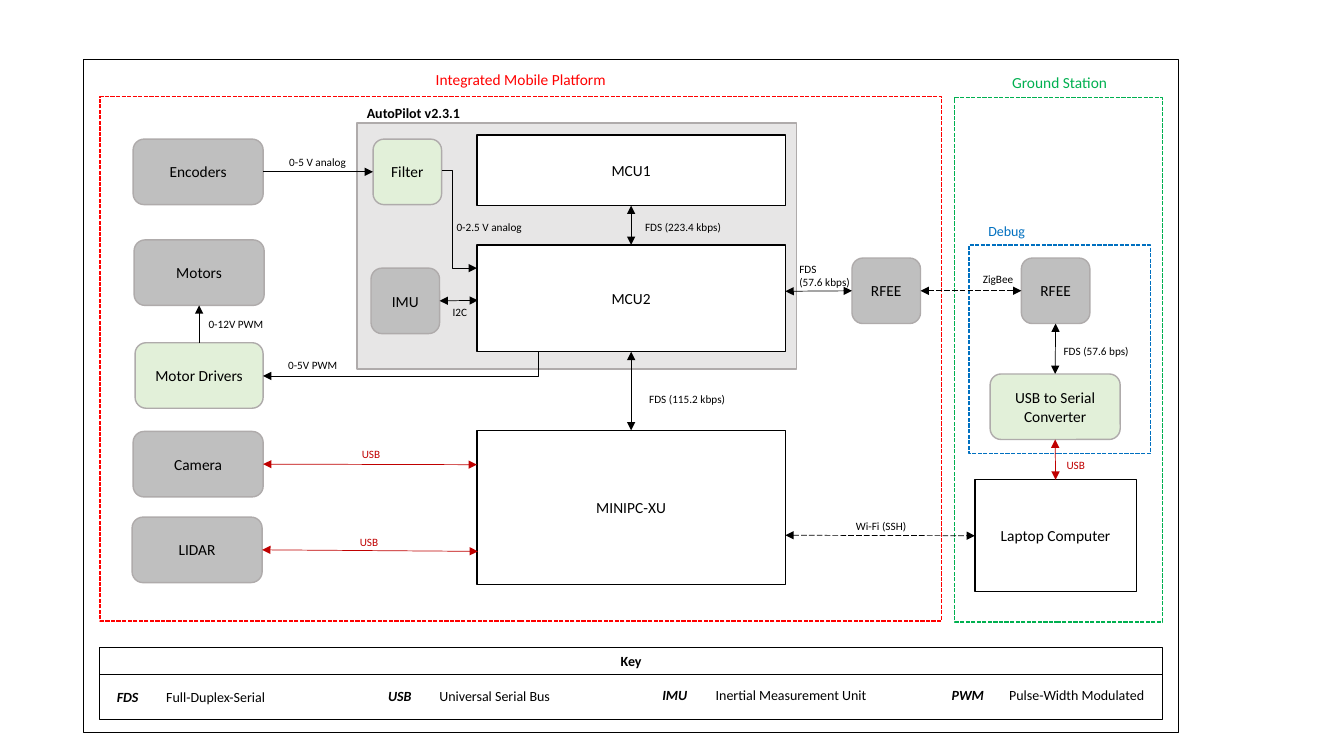
from pptx import Presentation
from pptx.dml.color import RGBColor
from pptx.enum.dml import MSO_LINE
from pptx.enum.shapes import MSO_CONNECTOR, MSO_SHAPE
from pptx.enum.text import MSO_ANCHOR, PP_ALIGN
from pptx.oxml.ns import qn
from pptx.util import Inches, Pt
from lxml import etree

RECT, ROUNDED = MSO_SHAPE.RECTANGLE, MSO_SHAPE.ROUNDED_RECTANGLE
STRAIGHT, ELBOW = MSO_CONNECTOR.STRAIGHT, MSO_CONNECTOR.ELBOW
SHORT_DASH, LONG_DASH = MSO_LINE.SQUARE_DOT, MSO_LINE.LONG_DASH
LEFT, CENTER = PP_ALIGN.LEFT, PP_ALIGN.CENTER
TOP, MIDDLE = MSO_ANCHOR.TOP, MSO_ANCHOR.MIDDLE
TOP_SIDE, LEFT_SIDE, BOTTOM_SIDE, RIGHT_SIDE = range(4)

BLACK = RGBColor(0x00, 0x00, 0x00)
WHITE = RGBColor(0xFF, 0xFF, 0xFF)
RED = RGBColor(0xFF, 0x00, 0x00)
DARK_RED = RGBColor(0xC0, 0x00, 0x00)
GREEN = RGBColor(0x00, 0xB0, 0x50)
BLUE = RGBColor(0x00, 0x70, 0xC0)
GREY = RGBColor(0xBF, 0xBF, 0xBF)
PALE_GREY = RGBColor(0xE7, 0xE6, 0xE6)
EDGE_GREY = RGBColor(0xAF, 0xAB, 0xAB)
PALE_GREEN = RGBColor(0xE2, 0xF0, 0xD9)
FONT = "Calibri"

deck = Presentation()
deck.slide_width, deck.slide_height = Inches(13.33), Inches(7.5)
slide = deck.slides.add_slide(deck.slide_layouts[6])


def add_block(text, at, *, preset=None, fill=None, line=BLACK, width=1, dash=None,
              size=11, color=BLACK, bold=False, italic=False, align=CENTER):
    """Add a preset shape holding text, or a plain text box when preset is None."""
    place = [Inches(value) for value in at]
    if preset is None:
        block = slide.shapes.add_textbox(*place)
    else:
        block = slide.shapes.add_shape(preset, *place)
        block.shadow.inherit = False
        block.line.color.rgb = line
        block.line.width = Pt(width)
        if dash:
            block.line.dash_style = dash
        if fill is None:
            block.fill.background()
        else:
            block.fill.solid()
            block.fill.fore_color.rgb = fill
    frame = block.text_frame
    frame.word_wrap = True
    frame.vertical_anchor = MIDDLE if preset else TOP
    frame.text = text
    for paragraph in frame.paragraphs:
        paragraph.alignment = align
        for run in paragraph.runs:
            run.font.name, run.font.size = FONT, Pt(size)
            run.font.bold, run.font.italic = bold, italic
            run.font.color.rgb = color
    return block


def add_link(start, end, *, color=BLACK, dash=None, heads=("headEnd", "tailEnd"), bend=None):
    """Link two ends, each an (x, y) point in inches or a (block, side) pair.

    bend is the share of the width at which an elbow turns.
    """
    joined = [not isinstance(anchor, (int, float)) for anchor, _ in (start, end)]
    (x1, y1), (x2, y2) = [(0, 0) if is_joined else spot
                          for is_joined, spot in zip(joined, (start, end))]
    link = slide.shapes.add_connector(STRAIGHT if bend is None else ELBOW,
                                      Inches(x1), Inches(y1), Inches(x2), Inches(y2))
    if joined[0]:
        link.begin_connect(*start)
    if joined[1]:
        link.end_connect(*end)
    link.line.color.rgb = color
    link.line.width = Pt(0.5)
    if dash:
        link.line.dash_style = dash
    properties = link.element.spPr
    for head in heads:
        etree.SubElement(properties.find(qn("a:ln")), qn(f"a:{head}"), type="triangle")
    etree.SubElement(properties, qn("a:effectLst"))
    if bend is not None:
        guides = properties.find(qn("a:prstGeom")).get_or_add_avLst()
        etree.SubElement(guides, qn("a:gd"), name="adj1", fmla=f"val {round(bend * 100000)}")


# Frame and key
add_block("", (0.83, 0.59, 10.86, 6.68), preset=RECT)
add_block("Key", (0.99, 6.42, 10.54, 0.27), preset=RECT, width=0.75, size=10, bold=True)
add_block("", (0.99, 6.69, 10.54, 0.45), preset=RECT)
for short, meaning, left, top, tab in (
    ("FDS", "Full-Duplex-Serial", 1.06, 6.78, 0.49),
    ("USB", "Universal Serial Bus", 3.75, 6.77, 0.51),
    ("IMU", "Inertial Measurement Unit", 6.47, 6.76, 0.53),
    ("PWM", "Pulse-Width Modulated", 9.34, 6.76, 0.57),
):
    entry = add_block(f"{short}\t", (left, top, 2.32, 0.27),
                      size=10, bold=True, italic=True, align=LEFT)
    paragraph = entry.text_frame.paragraphs[0]
    tabs = etree.SubElement(paragraph._p.get_or_add_pPr(), qn("a:tabLst"))
    etree.SubElement(tabs, qn("a:tab"), pos=str(Inches(tab)), algn="l")
    run = paragraph.add_run()
    run.text = meaning
    run.font.name, run.font.size, run.font.color.rgb = FONT, Pt(10), BLACK

# Zones and their headings
add_block("", (3.54, 1.22, 4.36, 2.44), preset=RECT, fill=PALE_GREY, line=EDGE_GREY)
for zone, color in (
    ((0.99, 0.96, 8.35, 5.2), RED),
    ((9.47, 0.97, 2.06, 5.2), GREEN),
    ((9.61, 2.43, 1.8, 2.07), BLUE),
):
    add_block("", zone, preset=RECT, line=color, dash=SHORT_DASH)
add_block("Integrated Mobile Platform", (0.99, 0.65, 8.35, 0.29), color=RED)
add_block("Ground Station", (9.42, 0.68, 2.18, 0.29), color=GREEN)
add_block("Debug", (9.35, 2.16, 1.27, 0.27), size=10, color=BLUE)
add_block("AutoPilot v2.3.1", (3.54, 0.99, 2.06, 0.27), size=10, bold=True, align=LEFT)

# Computers
coprocessor, controller, computer, laptop = [
    add_block(text, at, preset=RECT, fill=WHITE) for text, at in (
        ("MCU1", (4.73, 1.34, 3.06, 0.7)),
        ("MCU2", (4.73, 2.43, 3.06, 1.06)),
        ("MINIPC-XU", (4.73, 4.27, 3.06, 1.53)),
        ("Laptop Computer", (9.67, 4.76, 1.6, 1.11)),
    )
]

# Devices and converters
(encoders, motors, drivers, camera, lidar, signal_filter, imu,
 mobile_radio, ground_radio, converter) = [
    add_block(text, (left, top, width, 0.65), preset=ROUNDED, fill=fill, line=EDGE_GREY)
    for text, left, top, width, fill in (
        ("Encoders", 1.32, 1.38, 1.29, GREY),
        ("Motors", 1.33, 2.38, 1.29, GREY),
        ("Motor Drivers", 1.34, 3.4, 1.27, PALE_GREEN),
        ("Camera", 1.32, 4.28, 1.29, GREY),
        ("LIDAR", 1.31, 5.13, 1.29, GREY),
        ("Filter", 3.7, 1.38, 0.68, PALE_GREEN),
        ("IMU", 3.68, 2.66, 0.68, GREY),
        ("RFEE", 8.45, 2.56, 0.68, GREY),
        ("RFEE", 10.13, 2.56, 0.68, GREY),
        ("USB to Serial Converter", 9.82, 3.71, 1.29, PALE_GREEN),
    )
]

# Two-way links
for start, end, color, dash in (
    ((camera, RIGHT_SIDE), (4.73, 4.61), DARK_RED, None),
    ((lidar, RIGHT_SIDE), (4.74, 5.47), DARK_RED, None),
    ((converter, BOTTOM_SIDE), (laptop, TOP_SIDE), DARK_RED, None),
    ((computer, TOP_SIDE), (controller, BOTTOM_SIDE), BLACK, None),
    ((controller, TOP_SIDE), (coprocessor, BOTTOM_SIDE), BLACK, None),
    ((converter, TOP_SIDE), (ground_radio, BOTTOM_SIDE), BLACK, None),
    ((mobile_radio, LEFT_SIDE), (7.79, 2.89), BLACK, None),
    ((imu, RIGHT_SIDE), (4.74, 2.98), BLACK, None),
    ((mobile_radio, RIGHT_SIDE), (ground_radio, LEFT_SIDE), BLACK, LONG_DASH),
    ((7.79, 5.31), (laptop, LEFT_SIDE), BLACK, LONG_DASH),
):
    add_link(start, end, color=color, dash=dash)

# One-way links
add_link((drivers, TOP_SIDE), (motors, BOTTOM_SIDE), heads=["tailEnd"])
add_link((encoders, RIGHT_SIDE), (signal_filter, LEFT_SIDE), heads=["tailEnd"])
add_link((4.38, 1.69), (4.73, 2.66), heads=["tailEnd"], bend=0.31)
add_link((2.61, 3.73), (5.34, 3.49), heads=["headEnd"], bend=1)

# Signal names
for text, left, top, width, color in (
    ("0-5 V analog", 2.77, 1.49, 2.06, BLACK),
    ("0-2.5 V analog", 4.43, 2.14, 2.06, BLACK),
    ("0-12V PWM", 1.97, 3.1, 0.8, BLACK),
    ("0-5V PWM", 2.76, 3.51, 0.84, BLACK),
    ("I2C", 4.39, 2.98, 2.06, BLACK),
    ("FDS (223.4 kbps)", 6.3, 2.14, 2.06, BLACK),
    ("FDS (115.2 kbps)", 6.34, 3.84, 2.06, BLACK),
    ("FDS\n(57.6 kbps)", 7.83, 2.55, 0.77, BLACK),
    ("FDS (57.6 bps)", 10.45, 3.37, 2.06, BLACK),
    ("ZigBee", 9.65, 2.65, 0.6, BLACK),
    ("Wi-Fi (SSH)", 8.39, 5.1, 2.06, BLACK),
    ("USB", 3.49, 4.39, 2.06, DARK_RED),
    ("USB", 3.47, 5.26, 2.06, DARK_RED),
    ("USB", 10.48, 4.5, 2.06, DARK_RED),
):
    add_block(text, (left, top, width, 0.24), size=8, color=color, align=LEFT)

deck.save("out.pptx")
